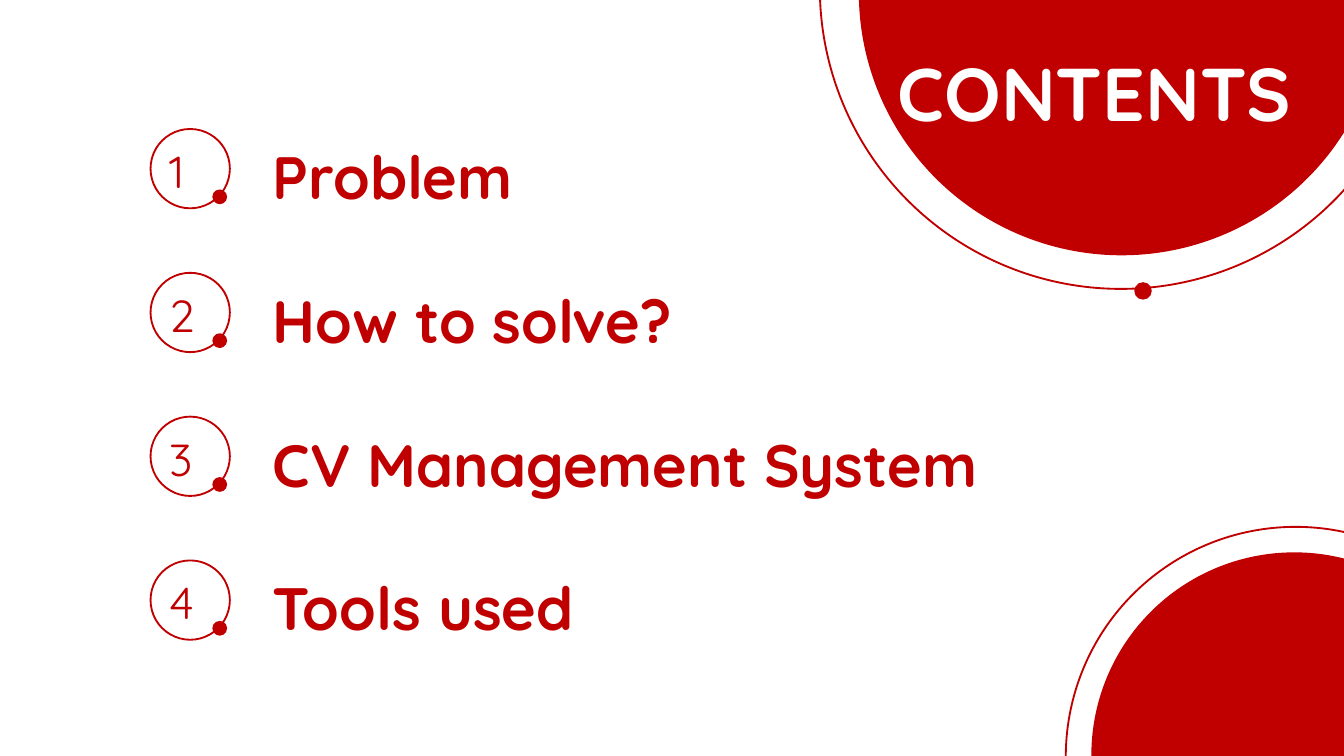
from pptx import Presentation
from pptx.dml.color import RGBColor
from pptx.enum import shapes, text
from pptx.util import Inches, Pt

TITLE = "CONTENTS"
TOPICS = ["Problem", "How to solve?", "CV Management System", "Tools used"]

THEME = {
    "font": "Quicksand",
    "red": RGBColor(0xC0, 0x00, 0x00),
    "white": RGBColor(0xFF, 0xFF, 0xFF),
    "title": Pt(40),
    "topic": Pt(32),
    "number": Pt(24),
    "line": Pt(1),
}

FIRST_TOP, ROW_PITCH = 0.96, 1.07
TOPIC_WIDTH, LONG_TOPIC_WIDTH = 3.16, 5.76


def add_circle(parent, left, top, size, filled):
    """Add a solid red disc, or a red ring when filled is False."""
    sp = parent.add_shape(shapes.MSO_SHAPE.OVAL, Inches(left), Inches(top),
                          Inches(size), Inches(size))
    sp.shadow.inherit = False
    if filled:
        sp.fill.solid()
        sp.fill.fore_color.rgb = THEME["red"]
        sp.line.fill.background()
    else:
        sp.fill.background()
        sp.line.color.rgb = THEME["red"]
        sp.line.width = THEME["line"]


def write(sp, content, size, color, bold, align, inset):
    tf = sp.text_frame
    tf.word_wrap = True
    tf.auto_size = text.MSO_AUTO_SIZE.NONE
    tf.vertical_anchor = text.MSO_ANCHOR.TOP
    tf.margin_left = tf.margin_right = Inches(inset[0])
    tf.margin_top = tf.margin_bottom = Inches(inset[1])
    p = tf.paragraphs[0]
    p.alignment = align
    r = p.add_run()
    r.text = content
    r.font.name = THEME["font"]
    r.font.size = THEME[size]
    r.font.bold = bold
    r.font.color.rgb = THEME[color]


def add_topic(slide, number, topic):
    top = FIRST_TOP + (number - 1) * ROW_PITCH
    badge = slide.shapes.add_group_shape().shapes
    box = badge.add_textbox(Inches(1.16), Inches(top + 0.06), Inches(0.52), Inches(0.5))
    write(box, str(number), "number", "red", False, text.PP_ALIGN.JUSTIFY, (0.1, 0.05))
    add_circle(badge, 1.12, top, 0.59, filled=False)
    add_circle(badge, 1.58, top + 0.45, 0.11, filled=True)

    width = LONG_TOPIC_WIDTH if len(topic) > 15 else TOPIC_WIDTH
    box = slide.shapes.add_textbox(Inches(1.96), Inches(top + 0.04),
                                   Inches(width), Inches(0.61))
    write(box, topic, "topic", "red", True, text.PP_ALIGN.LEFT, (0.07, 0.04))


def main():
    prs = Presentation()
    prs.slide_width = Inches(10)
    prs.slide_height = Inches(10 * 9 / 16)
    slide = prs.slides.add_slide(prs.slide_layouts[5])

    add_circle(slide.shapes, 6.39, -2.01, 3.91, filled=True)
    orbit = slide.shapes.add_group_shape().shapes
    add_circle(orbit, 8.44, 2.1, 0.13, filled=True)
    add_circle(orbit, 6.1, -2.33, 4.48, filled=False)

    title = slide.shapes.title
    title.left, title.top = Inches(6.61), Inches(0.31)
    title.width, title.height = Inches(3.14), Inches(0.75)
    write(title, TITLE, "title", "white", True, text.PP_ALIGN.JUSTIFY, (0.07, 0.04))
    # Bring the title in front of the disc
    title.element.getparent().append(title.element)

    for number, topic in enumerate(TOPICS, 1):
        add_topic(slide, number, topic)

    corner = slide.shapes.add_group_shape().shapes
    add_circle(corner, 8.12, 4.11, 3.02, filled=True)
    add_circle(corner, 7.93, 3.92, 3.42, filled=False)

    prs.save("out.pptx")


if __name__ == "__main__":
    main()
